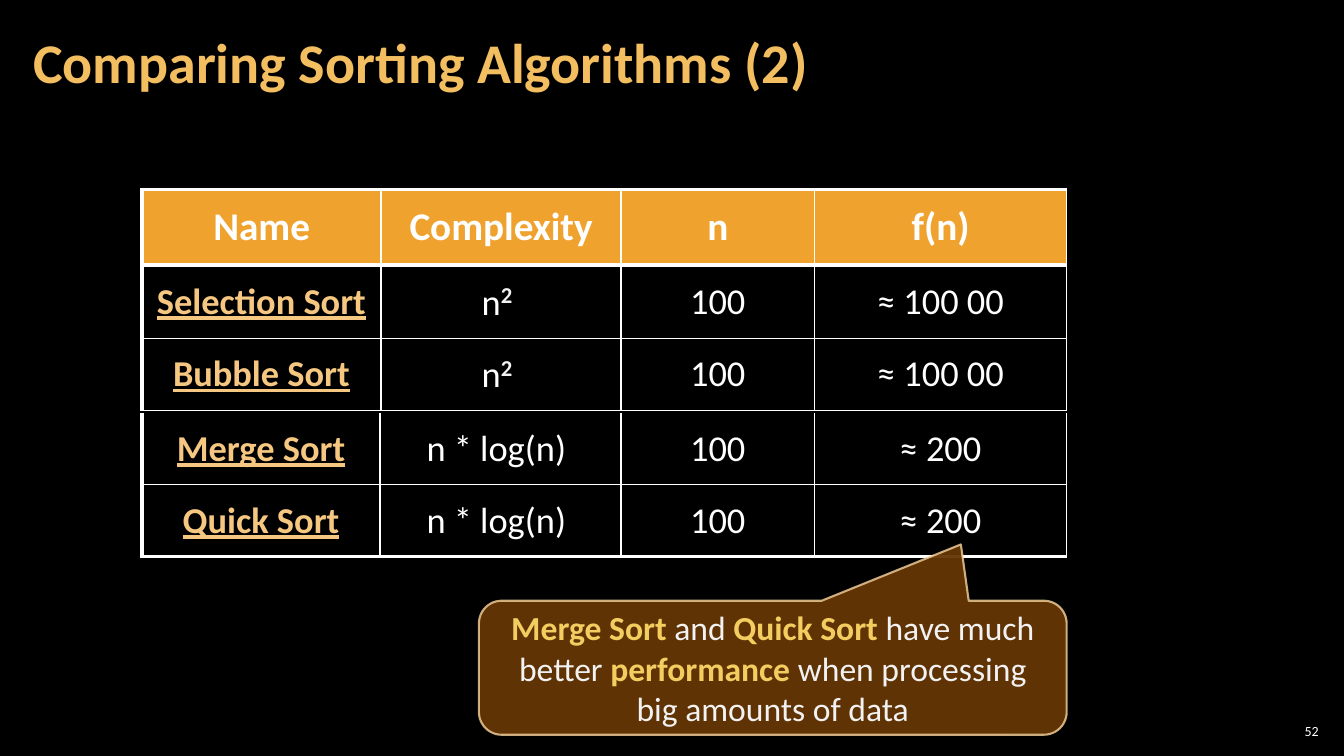
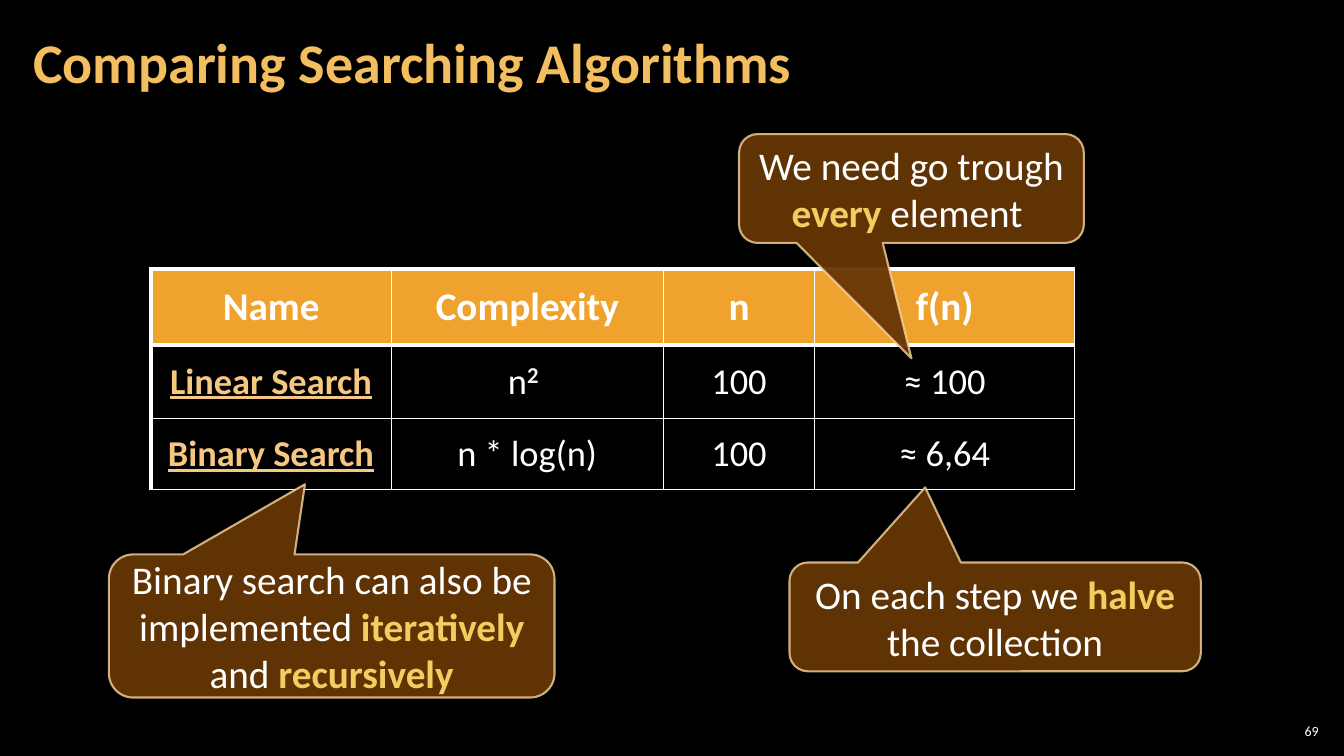
import pptx
import pptx.util
import pptx.dml.color
import pptx.enum.shapes
import pptx.enum.text
import pptx.oxml
import pptx.oxml.ns

Inches, Pt = pptx.util.Inches, pptx.util.Pt
ALIGN, MIDDLE = pptx.enum.text.PP_ALIGN, pptx.enum.text.MSO_ANCHOR.MIDDLE
CALLOUT = pptx.enum.shapes.MSO_SHAPE.ROUNDED_RECTANGULAR_CALLOUT

FONT = "Calibri"
BLACK, WHITE, PALE = "000000", "FFFFFF", "F2F2F2"
GOLD, ORANGE, LINK = "F3BE60", "F0A22E", "F6C781"
BROWN, EDGE, STRONG = "663606", "F8D49E", "F3CD60"
THIN, THICK = 1, 3
NO_STYLE = "{2D5ABB26-0587-4C30-8999-92F81FD0307C}"

HEAD = ["Name", "Complexity", "n", "f(n)"]

# In cells ^...^ is raised; in callouts |...| is emphasised.
SLIDES = [
    {
        "title": "Comparing Sorting Algorithms (2)",
        "number": "52",
        "tables": [
            {"at": (1.41, 1.88), "cols": [2.37, 2.38, 1.92, 2.5],
             "heights": [0.75, 0.73, 0.71], "head": True, "foot": THIN,
             "rows": [HEAD,
                      ["Selection Sort", "n^2^ ", "100", "≈ 100 00"],
                      ["Bubble Sort", "n^2^ ", "100", "≈ 100 00"]]},
            {"at": (1.41, 4.1), "cols": [2.36, 2.39, 1.92, 2.5],
             "heights": [0.71, 0.71], "head": False, "foot": THICK,
             "rows": [["Merge Sort", "n * log(n) ", "100", "≈ 200"],
                      ["Quick Sort", "n * log(n) ", "100", "≈ 200"]]},
        ],
        "callouts": [
            {"box": (4.75, 5.96, 5.83, 1.33), "tip": (0.32, -0.92),
             "size": 24, "color": PALE,
             "text": "|Merge Sort |and |Quick Sort |have much better "
                     "|performance |when processing big amounts of data"},
        ],
    },
    {
        "title": "Comparing Searching Algorithms",
        "number": "69",
        "tables": [
            {"at": (1.5, 2.67), "cols": [2.38, 2.7, 1.5, 2.58],
             "heights": [0.75, 0.73, 0.71], "head": True, "foot": THIN,
             "rows": [HEAD,
                      ["Linear Search", "n^2^ ", "100", "≈ 100"],
                      ["Binary Search", "n * log(n)", "100", "≈ 6,64"]]},
        ],
        "callouts": [
            {"box": (1.08, 5.5, 4.42, 1.42), "tip": (-0.06, -0.99),
             "size": 28, "color": WHITE,
             "text": "Binary search can also be implemented |iteratively |and |recursively"},
            {"box": (7.33, 1.33, 3.42, 1.08), "tip": (0, 1.56),
             "size": 28, "color": WHITE,
             "text": "We need go trough |every |element "},
            {"box": (7.83, 5.58, 4.08, 1.08), "tip": (-0.17, -1.19),
             "size": 28, "color": WHITE,
             "text": "On each step we |halve |the collection"},
        ],
    },
]


def rgb(code):
    return pptx.dml.color.RGBColor.from_string(code)


def paint(fill, code, alpha=100):
    """Fill with a solid colour, alpha being its opacity in percent."""
    fill.solid()
    fill.fore_color.rgb = rgb(code)
    if alpha < 100:
        tint = fill._xPr.find(".//" + pptx.oxml.ns.qn("a:srgbClr"))
        pptx.oxml.ns.qn("a:alpha")
        tint.append(element(f'<a:alpha {{ns}} val="{alpha * 1000}"/>'))


def element(xml):
    return pptx.oxml.parse_xml(xml.replace("{ns}", pptx.oxml.ns.nsdecls("a")))


def write(para, text, size, color, bold=False, under=None):
    run = para.add_run()
    run.text = text
    font = run.font
    font.name, font.size, font.bold, font.underline = FONT, Pt(size), bold, under
    font.color.rgb = rgb(color)
    return run


def inset(frame, side, top):
    frame.margin_left = frame.margin_right = Inches(side)
    frame.margin_top = frame.margin_bottom = Inches(top)
    frame.vertical_anchor = MIDDLE
    frame.word_wrap = True


def theme(deck):
    """Give the title layout its background and title place."""
    layout = deck.slide_layouts.get_by_name("Title Only")
    paint(layout.background.fill, BLACK)
    title = layout.placeholders[0]
    title.left, title.top, title.width, title.height = map(Inches, (0.21, 0.04, 10.47, 1.21))
    inset(title.text_frame, 0.12, 0.04)
    return layout


def add_title(slide, text):
    para = slide.shapes.title.text_frame.paragraphs[0]
    para.alignment, para.line_spacing = ALIGN.LEFT, 0.9
    write(para, text, 40, GOLD, bold=True)


def add_number(slide, text):
    box = slide.shapes.add_textbox(*map(Inches, (12.65, 7.14, 0.47, 0.22)))
    inset(box.text_frame, 0.04, 0.04)
    para = box.text_frame.paragraphs[0]
    para.alignment = ALIGN.RIGHT
    write(para, text, 10, WHITE)


def border(cell, left, right, top, bottom):
    """Draw the four cell edges; a width of 0 means no line."""
    props = cell._tc.get_or_add_tcPr()
    for side, width in zip("LRTB", (left, right, top, bottom)):
        ink = f'<a:solidFill><a:srgbClr val="{WHITE}"/></a:solidFill>' if width else "<a:noFill/>"
        props.append(element(f'<a:ln{side} {{ns}} w="{Pt(width)}">{ink}</a:ln{side}>'))


def fill_cell(cell, text, head, first):
    cell.vertical_anchor = MIDDLE
    para = cell.text_frame.paragraphs[0]
    para.alignment = ALIGN.CENTER
    if head:
        paint(cell.fill, ORANGE)
        write(para, text, 28, WHITE, bold=True)
        return
    paint(cell.fill, BLACK, 30)
    if first:
        write(para, text, 26, LINK, bold=True, under=True)
        return
    for i, part in enumerate(text.split("^")):
        if i % 2:
            power = write(para, part, 28, PALE, bold=True)
            power._r.get_or_add_rPr().set("baseline", "30000")
        else:
            write(para, part, 26, WHITE)


def add_table(slide, data):
    rows, cols, heights = data["rows"], data["cols"], data["heights"]
    frame = slide.shapes.add_table(
        len(rows), len(cols), *map(Inches, (*data["at"], sum(cols), sum(heights))))
    table = frame.table
    table.first_row = table.horz_banding = False
    table._tbl.tblPr.find(pptx.oxml.ns.qn("a:tableStyleId")).text = NO_STYLE
    for col, width in zip(table.columns, cols):
        col.width = Inches(width)
    for row, height in zip(table.rows, heights):
        row.height = Inches(height)

    # Weights of the horizontal rules, from the top edge to the bottom one.
    rules = [THICK, THICK] if data["head"] else [0, THIN]
    rules += [THIN] * (len(rows) - 2) + [data["foot"]]
    for r, row in enumerate(rows):
        for c, text in enumerate(row):
            cell = table.cell(r, c)
            border(cell, THIN if c else THICK, THIN, rules[r], rules[r + 1])
            fill_cell(cell, text, data["head"] and r == 0, c == 0)


def add_callout(slide, data):
    shape = slide.shapes.add_shape(CALLOUT, *map(Inches, data["box"]))
    shape.shadow.inherit = False
    for i, value in enumerate((*data["tip"], 0.17)):
        shape.adjustments[i] = value
    paint(shape.fill, BROWN, 95)
    paint(shape.line.fill, EDGE, 80)
    shape.line.width = Pt(1.5)
    inset(shape.text_frame, 0.1, 0.05)
    para = shape.text_frame.paragraphs[0]
    para.alignment = ALIGN.CENTER
    for i, part in enumerate(data["text"].split("|")):
        if part:
            strong = i % 2 == 1
            write(para, part, data["size"], STRONG if strong else data["color"], strong)


def main():
    deck = pptx.Presentation()
    deck.slide_width, deck.slide_height = Inches(13.33), Inches(7.5)
    layout = theme(deck)
    for data in SLIDES:
        slide = deck.slides.add_slide(layout)
        add_title(slide, data["title"])
        add_number(slide, data["number"])
        for table in data["tables"]:
            add_table(slide, table)
        for callout in data["callouts"]:
            add_callout(slide, callout)
    deck.save("out.pptx")


if __name__ == "__main__":
    main()
